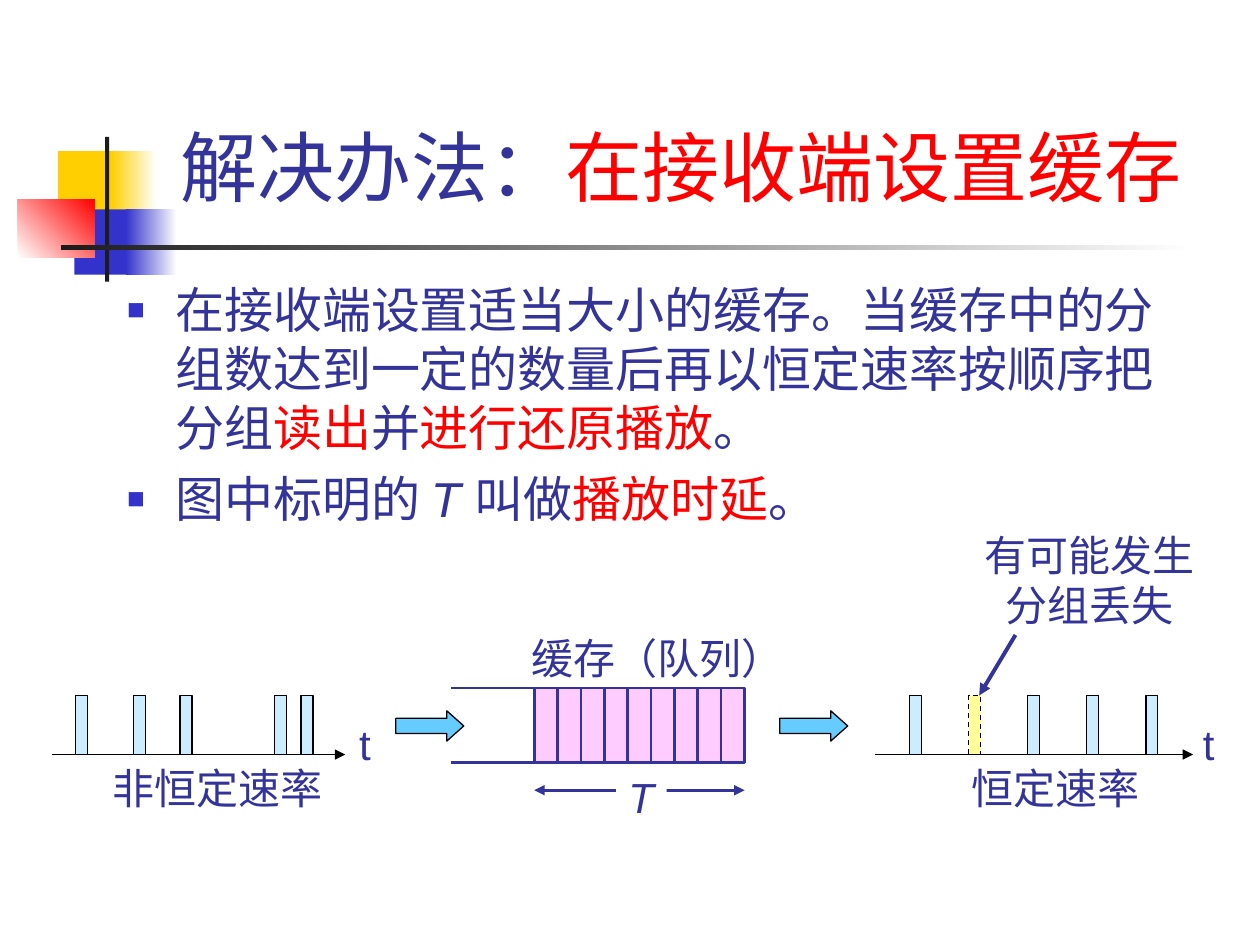
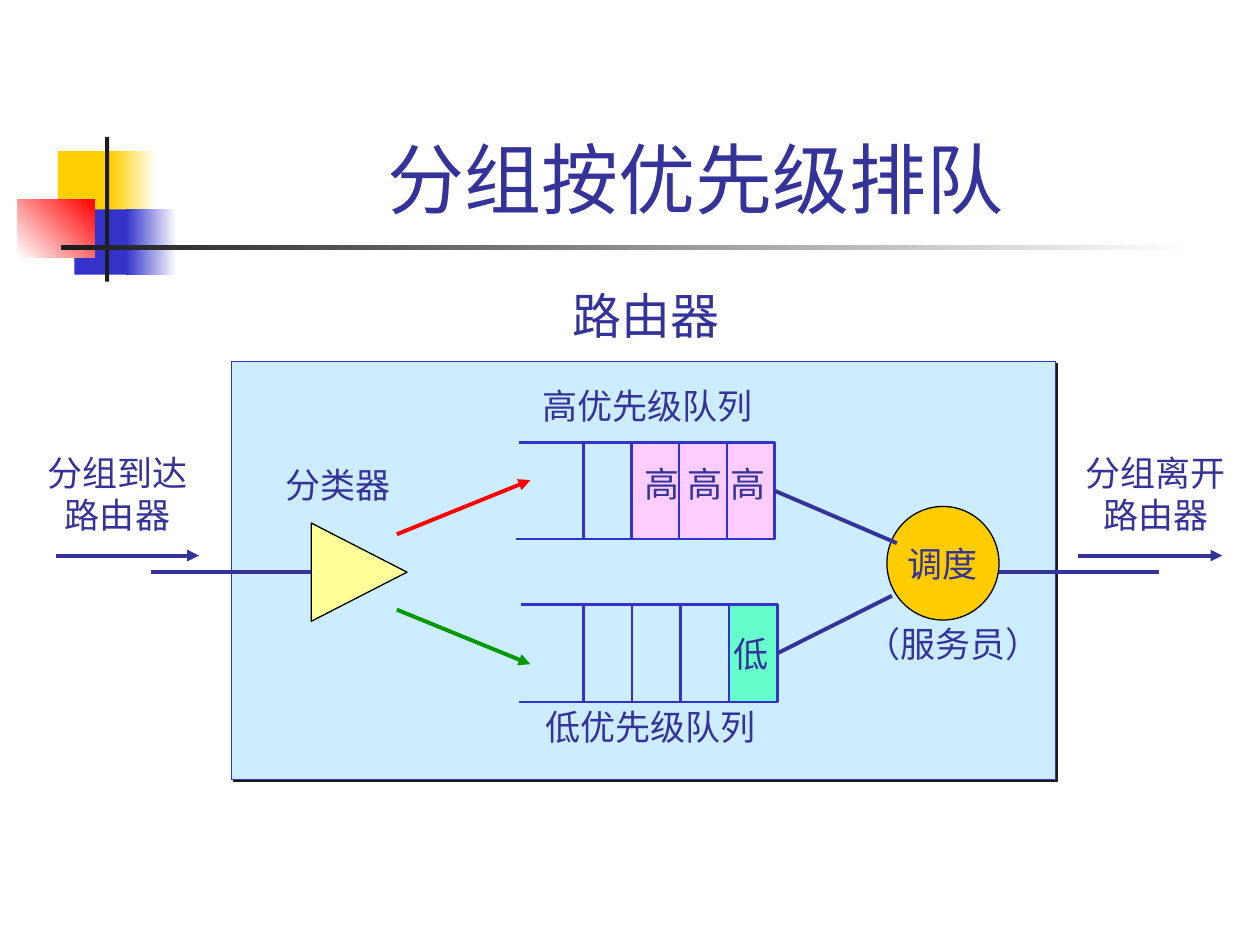
import pptx
import pptx.util
import pptx.dml.color
import pptx.enum.dml
import pptx.enum.shapes
import pptx.enum.text
import pptx.oxml.ns
from lxml import etree

Cm = pptx.util.Cm
Pt = pptx.util.Pt
RGB = pptx.dml.color.RGBColor.from_string
MSO = pptx.enum.shapes.MSO_SHAPE
PP_ALIGN = pptx.enum.text.PP_ALIGN
AUTO_SIZE = pptx.enum.text.MSO_AUTO_SIZE
qn = pptx.oxml.ns.qn
FONT = "Arial"
C = {
    "text": "333399", "red": "FF0000", "blue": "3333CC", "yellow": "FFCF01",
    "dark": "1C1C1C", "white": "FFFFFF", "black": "000000", "pink": "FFCCFF",
    "pale": "CCECFF", "cream": "FFFF99", "sky": "66CCFF", "mint": "66FFCC",
    "green": "009900", "gold": "FFCC00",
}


def paint(sp, fill=None, line=None, width=0.75):
    sp.shadow.inherit = False
    if fill:
        sp.fill.solid()
        sp.fill.fore_color.rgb = RGB(C[fill])
    else:
        sp.fill.background()
    if line:
        sp.line.color.rgb = RGB(C[line])
        sp.line.width = Pt(width)
    else:
        sp.line.fill.background()


def connect(s, x1, y1, x2, y2, color="text", width=2.25, ends=()):
    cxn = s.shapes.add_connector(
        pptx.enum.shapes.MSO_CONNECTOR.STRAIGHT, Cm(x1), Cm(y1), Cm(x2), Cm(y2))
    cxn.line.color.rgb = RGB(C[color])
    cxn.line.width = Pt(width)
    spPr = cxn.element.spPr
    for end in ends:
        etree.SubElement(spPr.find(qn("a:ln")), qn(f"a:{end}End"), type="triangle")
    etree.SubElement(spPr, qn("a:effectLst"))
    return cxn


prs = pptx.Presentation()
prs.slide_width, prs.slide_height = Cm(25.4), Cm(19.05)
buffer_slide = prs.slides.add_slide(prs.slide_layouts[1])
priority_slide = prs.slides.add_slide(prs.slide_layouts[5])

decor = [
    (1.17, 3.05, 1.22, 1.32, "yellow", None, 0),
    (2.24, 3.05, 0.91, 1.32, "yellow", "white", 0),
    (1.5, 4.22, 1.17, 1.32, "blue", None, 0),
    (2.54, 4.22, 1.02, 1.32, "blue", "white", 0),
    (0.36, 4.02, 1.55, 1.17, "white", "red", 45),
    (2.12, 2.76, 0.08, 2.92, "dark", None, 0),
    (1.23, 4.94, 22.86, 0.1, "dark", "white", 0),
]
master_tree = prs.slide_master.shapes.element
for i, (x, y, w, h, start, stop, angle) in enumerate(decor):
    sp = buffer_slide.shapes.add_shape(MSO.RECTANGLE, Cm(x), Cm(y), Cm(w), Cm(h))
    paint(sp, start)
    if stop:
        sp.fill.gradient()
        sp.fill.gradient_angle = angle
        for gs, name in zip(sp.fill.gradient_stops, (start, stop)):
            gs.color.rgb = RGB(C[name])
    master_tree.insert(2 + i, sp.element)

titles = [
    (buffer_slide, 2.92, 0.33, [("解决办法：", "text"), ("在接收端设置缓存", "red")]),
    (priority_slide, 3.2, 0.58, [("分组按优先级排队", "text")]),
]
for s, x, y, runs in titles:
    sp = s.shapes.title
    sp.left, sp.top, sp.width, sp.height = Cm(x), Cm(y), Cm(21.64), Cm(4.06)
    tf = sp.text_frame
    tf.auto_size = AUTO_SIZE.NONE
    tf.vertical_anchor = pptx.enum.text.MSO_ANCHOR.BOTTOM
    p = tf.paragraphs[0]
    p.alignment = PP_ALIGN.CENTER
    for text, color in runs:
        r = p.add_run()
        r.text = text
        r.font.name, r.font.size = FONT, Pt(44)
        r.font.color.rgb = RGB(C[color])

bullets = [
    [("在接收端设置适当大小的缓存。当缓存中的分组数达到一定的数量后再以恒定速率按顺序把分组", "text"),
     ("读出", "red"), ("并", "text"), ("进行还原播放", "red"), ("。", "text")],
    [("图中标明的 ", "text"), ("T ", "text"), ("叫做", "text"),
     ("播放时延", "red"), ("。", "text")],
]
sp = buffer_slide.placeholders[1]
sp.left, sp.top, sp.width, sp.height = Cm(2.31), Cm(5.51), Cm(21.59), Cm(5.61)
tf = sp.text_frame
tf.auto_size = AUTO_SIZE.NONE
for i, runs in enumerate(bullets):
    p = tf.add_paragraph() if i else tf.paragraphs[0]
    pPr = p._p.get_or_add_pPr()
    pPr.set("marL", str(Cm(0.97)))
    pPr.set("indent", str(-Cm(0.97)))
    buClr = etree.SubElement(pPr, qn("a:buClr"))
    etree.SubElement(buClr, qn("a:srgbClr"), val=C["blue"])
    etree.SubElement(pPr, qn("a:buSzPct"), val="60000")
    etree.SubElement(pPr, qn("a:buFont"), typeface=FONT)
    etree.SubElement(pPr, qn("a:buChar"), char="■")
    p.space_before = Pt(7 if i else 0)
    for text, color in runs:
        r = p.add_run()
        r.text = text
        r.font.name, r.font.size = FONT, Pt(28)
        r.font.italic = text == "T "
        r.font.color.rgb = RGB(C[color])

router = priority_slide.shapes.add_shape(
    MSO.RECTANGLE, Cm(4.67), Cm(7.29), Cm(16.61), Cm(8.43))
paint(router, "pale", "blue")
shadow = etree.SubElement(
    router.element.spPr.find(qn("a:effectLst")), qn("a:outerShdw"),
    blurRad="0", dist=str(Pt(1.4)), dir="2700000", algn="ctr", rotWithShape="0")
etree.SubElement(shadow, qn("a:srgbClr"), val=C["dark"])

queues = [
    (buffer_slide, 9.09, 9.09, 10.77, 15.01, 13.87, 15.37, 9, 9, "pink", "text"),
    (priority_slide, 10.46, 10.41, 11.76, 15.62, 8.92, 10.87, 4, 3, "pink", "blue"),
    (priority_slide, 10.51, 10.46, 11.76, 15.67, 12.19, 14.15, 4, 1, "mint", "blue"),
]
filled_parts = []
for s, top_left, low_left, first, right, top, bottom, cells, filled, fill, color in queues:
    step = (right - first) / cells
    sp = s.shapes.add_shape(MSO.RECTANGLE, Cm(right - filled * step), Cm(top),
                            Cm(filled * step), Cm(bottom - top))
    paint(sp, fill)
    filled_parts.append(sp)
    fb = s.shapes.build_freeform(Cm(top_left), Cm(top))
    fb.add_line_segments([(Cm(right), Cm(top)), (Cm(right), Cm(bottom)),
                          (Cm(low_left), Cm(bottom))], close=False)
    paint(fb.convert_to_shape(), None, color, 1.5)
    for i in range(cells):
        x = first + i * step
        connect(s, x, top, x, bottom, color, 1.5)

lost_x = 19.53
pulses = [1.52, 2.69, 3.63, 5.54, 6.07] + [18.34 + 1.19 * i for i in range(5)]
for x in pulses:
    lost = abs(x - lost_x) < 0.01
    fb = buffer_slide.shapes.build_freeform(Cm(x), Cm(15.21))
    fb.add_line_segments([(Cm(x), Cm(14.02)), (Cm(x + 0.24), Cm(14.02)),
                          (Cm(x + 0.24), Cm(15.21))], close=False)
    sp = fb.convert_to_shape()
    paint(sp, "cream" if lost else "pale", "black")
    if lost:
        sp.line.dash_style = pptx.enum.dml.MSO_LINE.DASH

for x1, x2 in [(1.04, 6.96), (17.63, 24.05)]:
    connect(buffer_slide, x1, 15.21, x2, 15.21, "black", 0.75, ["tail"])
connect(buffer_slide, 10.77, 15.93, 15.01, 15.93, "text", 1.5, ["head", "tail"])
connect(buffer_slide, 20.47, 12.8, 19.74, 14.02, ends=["tail"])
for x in (7.98, 15.72):
    sp = buffer_slide.shapes.add_shape(
        MSO.RIGHT_ARROW, Cm(x), Cm(14.33), Cm(1.37), Cm(0.61))
    sp.adjustments[1] = 0.56
    paint(sp, "sky", "black")

classifier = priority_slide.shapes.add_shape(
    MSO.ISOSCELES_TRIANGLE, Cm(6.25), Cm(10.57), Cm(1.98), Cm(1.93))
classifier.rotation = 90
paint(classifier, "cream", "black")
scheduler = priority_slide.shapes.add_shape(
    MSO.OVAL, Cm(17.88), Cm(10.21), Cm(2.26), Cm(2.29))
paint(scheduler, "gold", "black")
tf = scheduler.text_frame
tf.text = "调度"
tf.word_wrap = False
p = tf.paragraphs[0]
p.alignment = PP_ALIGN.CENTER
p.runs[0].font.name, p.runs[0].font.size = FONT, Pt(20)
p.runs[0].font.color.rgb = RGB(C["text"])

flows = [
    (1.12, 11.2, 4.01, 11.2, "text", ["tail"]),
    (21.74, 11.2, 24.64, 11.2, "text", ["tail"]),
    (8, 10.77, 10.69, 9.68, "red", ["tail"]),
    (8, 12.29, 10.69, 13.39, "green", ["tail"]),
    (3.05, 11.53, 6.27, 11.53, "text", []),
    (20.14, 11.53, 23.37, 11.53, "text", []),
]
for x1, y1, x2, y2, color, ends in flows:
    connect(priority_slide, x1, y1, x2, y2, color, ends=ends)
for part, x, y in zip(filled_parts[1:], (18.08, 17.98), (10.95, 12.01)):
    cxn = connect(priority_slide, 15.62, y, x, y)
    cxn.begin_connect(part, 3)

labels = [
    (buffer_slide, 24, 14.35, 0.74, 24, "t"),
    (buffer_slide, 6.99, 14.35, 0.74, 24, "t"),
    (buffer_slide, 12.42, 15.42, 1.02, 24, "T"),
    (buffer_slide, 10.46, 12.62, 5.65, 24, "缓存（队列）"),
    (buffer_slide, 19.33, 15.24, 3.95, 24, "恒定速率"),
    (buffer_slide, 2.01, 15.24, 4.8, 24, "非恒定速率"),
    (buffer_slide, 19.57, 10.54, 4.8, 24, "有可能发生\n分组丢失"),
    (priority_slide, 10.69, 7.62, 4.8, 20, "高优先级队列"),
    (priority_slide, 10.74, 14.1, 4.8, 20, "低优先级队列"),
    (priority_slide, 0.67, 8.97, 3.4, 20, "分组到达\n路由器"),
    (priority_slide, 21.6, 8.97, 3.4, 20, "分组离开\n路由器"),
    (priority_slide, 5.51, 9.22, 2.7, 20, "分类器"),
    (priority_slide, 17.2, 12.42, 4.1, 20, "（服务员）"),
    (priority_slide, 11.3, 5.64, 3.55, 28, "路由器"),
    (priority_slide, 12.75, 9.19, 3.02, 20, "高 高 高"),
    (priority_slide, 14.53, 12.62, 1.25, 20, "低"),
]
for s, x, y, w, size, text in labels:
    lines = text.count("\n") + 1
    sp = s.shapes.add_textbox(Cm(x), Cm(y), Cm(w), Cm(0.25 + lines * size * 0.0425))
    tf = sp.text_frame
    tf.text = text
    tf.word_wrap = False
    tf.auto_size = AUTO_SIZE.SHAPE_TO_FIT_TEXT
    for p in tf.paragraphs:
        p.alignment = PP_ALIGN.CENTER if lines > 1 else PP_ALIGN.LEFT
        for r in p.runs:
            r.font.name, r.font.size = FONT, Pt(size)
            r.font.color.rgb = RGB(C["text"])
            r.font.italic = text == "T"
    if text == "T":
        paint(sp, "white")

prs.save("out.pptx")
